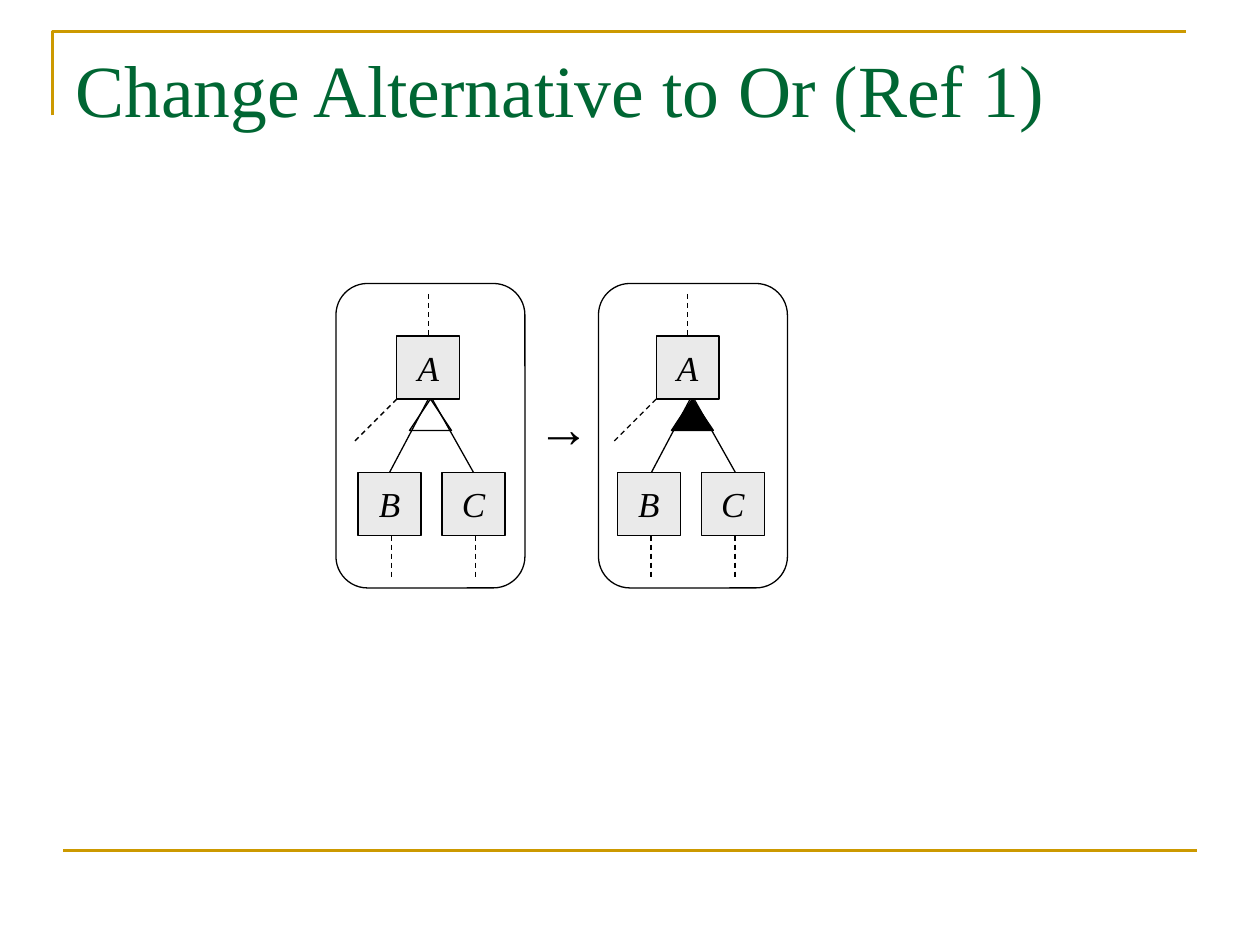
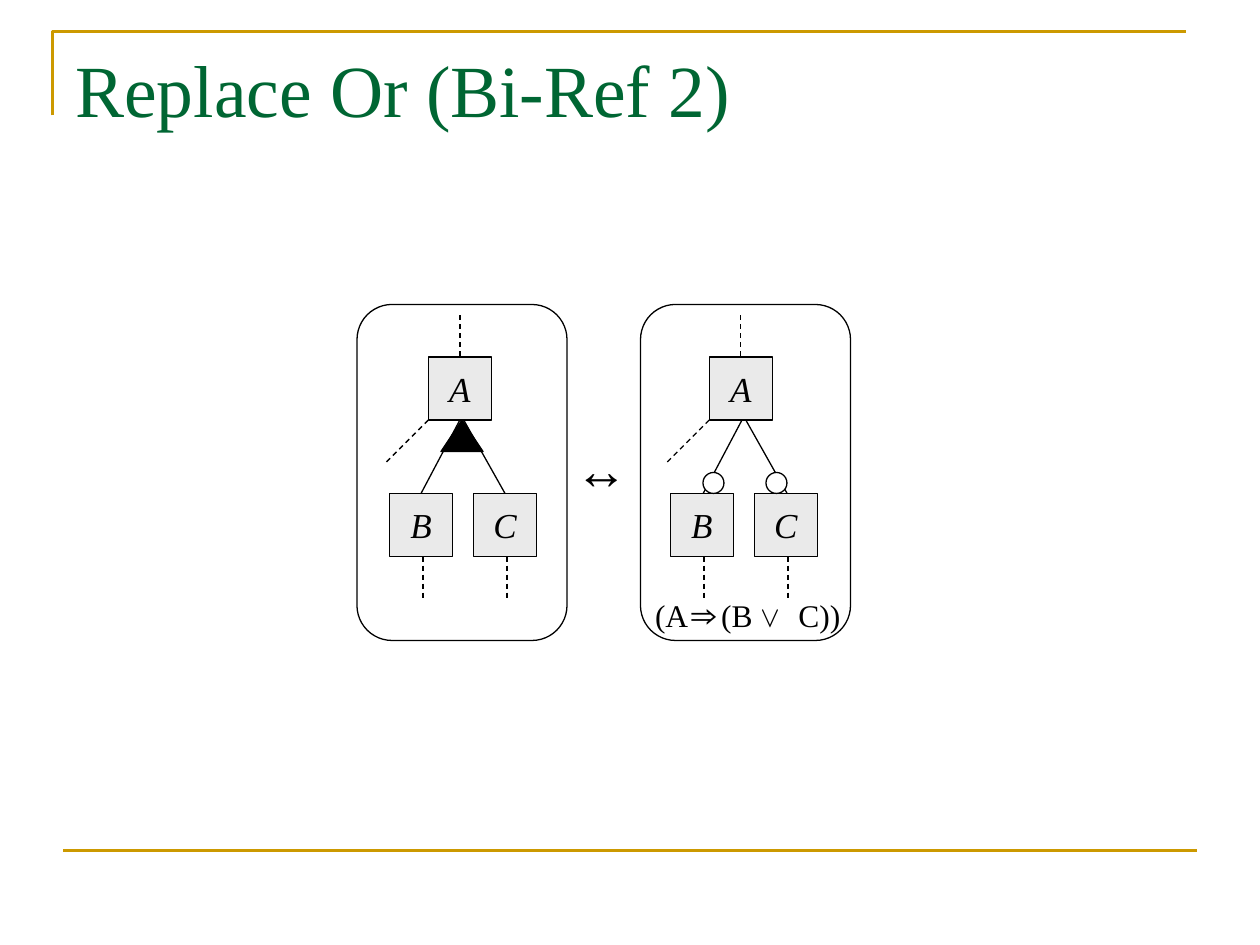
from dataclasses import dataclass
from typing import Optional

from lxml import etree
from pptx import Presentation, util as u
from pptx.dml.color import RGBColor
from pptx.enum import dml, shapes, text
from pptx.oxml import ns

COLUMNS, ROWS = 120, 90
WIDTH, HEIGHT = u.Inches(10), u.Inches(7.5)
GOLD, GREEN, BLACK, WHITE, GREY = "CC9900", "006633", "000000", "FFFFFF", "EAEAEA"
SERIF, MONO = "Times New Roman", "Courier New"
FEATURE_SIZE = 6
CHILD_DROP = 13
CHILDREN = (("B", -3.7), ("C", 4.3))
EDGES = ((3, -0.7), (3.36, 7.3))
CHILD_STEMS = (-0.5, 7.5)
OPTIONAL_MARKS = (-0.6, 5.4)


@dataclass(frozen=True)
class Frame:
    top: float
    width: float
    height: float


@dataclass(frozen=True)
class Tree:
    frame_left: float
    root_left: float
    group_fill: Optional[str] = None
    edge_shift: float = 0
    group_shift: float = 0


@dataclass(frozen=True)
class Span:
    words: str
    font: str = SERIF


@dataclass(frozen=True)
class Label:
    left: float
    top: float
    width: float
    height: float
    size: float
    spans: tuple[Span, ...]
    color: str = BLACK
    wrap: bool = False


@dataclass(frozen=True)
class Refactoring:
    title: str
    frame: Frame
    root_top: float
    trees: tuple[Tree, ...]
    labels: tuple[Label, ...]


REFACTORINGS = (
    Refactoring(
        "Change Alternative to Or (Ref 1)",
        Frame(27, 18, 29),
        32,
        (
            Tree(32, 37.8, WHITE),
            Tree(57, 62.5, BLACK, edge_shift=0.24, group_shift=0.24),
        ),
        (Label(51, 37, 5.4, 7.2, 30, (Span("→", MONO),)),),
    ),
    Refactoring(
        "Replace Or (Bi-Ref 2)",
        Frame(29, 20, 32),
        34,
        (Tree(34, 40.8, BLACK), Tree(61, 67.55, edge_shift=0.12)),
        (
            Label(54.6, 41, 5.4, 7.2, 30, (Span("↔", MONO),)),
            Label(
                61.2, 56.2, 21.2, 4.8, 18,
                (Span("(A "), Span("⇒", MONO), Span(" (B "), Span("⋁ ", MONO), Span("C))")),
            ),
        ),
    ),
)


def rgb(value: str) -> RGBColor:
    return RGBColor.from_string(value)


def x(columns: float) -> int:
    return round(WIDTH * columns / COLUMNS)


def y(rows: float) -> int:
    return round(HEIGHT * rows / ROWS)


def style_line(line, color: str, points: float) -> None:
    line.color.rgb = rgb(color)
    line.width = u.Pt(points)


def add_line(page, start, end, color: str = BLACK, points: float = 0.75, dashed: bool = False) -> None:
    connector = page.shapes.add_connector(
        shapes.MSO_CONNECTOR.STRAIGHT, x(start[0]), y(start[1]), x(end[0]), y(end[1])
    )
    style_line(connector.line, color, points)
    if dashed:
        connector.line.dash_style = dml.MSO_LINE.DASH
    etree.SubElement(connector._element.spPr, ns.qn("a:effectLst"))


def add_outlined(page, kind, left: float, top: float, width: float, height: float, fill: Optional[str] = None):
    shape = page.shapes.add_shape(kind, x(left), y(top), x(width), y(height))
    shape.shadow.inherit = False
    if fill:
        shape.fill.solid()
        shape.fill.fore_color.rgb = rgb(fill)
    else:
        shape.fill.background()
    style_line(shape.line, BLACK, 0.75)
    return shape


def add_feature(page, name: str, left: float, top: float) -> None:
    box = add_outlined(page, shapes.MSO_SHAPE.RECTANGLE, left, top, FEATURE_SIZE, FEATURE_SIZE, GREY)
    box.text_frame.word_wrap = False
    box.text_frame.vertical_anchor = text.MSO_ANCHOR.MIDDLE
    para = box.text_frame.paragraphs[0]
    para.text = name
    para.alignment = text.PP_ALIGN.CENTER
    para.font.name = SERIF
    para.font.size = u.Pt(20)
    para.font.italic = True
    para.font.color.rgb = rgb(BLACK)


def add_label(page, label: Label) -> None:
    box = page.shapes.add_textbox(x(label.left), y(label.top), x(label.width), y(label.height))
    box.text_frame.word_wrap = label.wrap
    if not label.wrap:
        box.text_frame.auto_size = text.MSO_AUTO_SIZE.SHAPE_TO_FIT_TEXT
    para = box.text_frame.paragraphs[0]
    para.font.size = u.Pt(label.size)
    para.font.color.rgb = rgb(label.color)
    for span in label.spans:
        run = para.add_run()
        run.text = span.words
        run.font.name = span.font
        run.font.size = u.Pt(label.size)
        run.font.color.rgb = rgb(label.color)


def add_page_style(page, title: str) -> None:
    builder = page.shapes.build_freeform(x(5), y(11))
    builder.add_line_segments([(x(5), y(3)), (x(113), y(3))], close=False)
    corner = builder.convert_to_shape()
    corner.shadow.inherit = False
    corner.fill.background()
    style_line(corner.line, GOLD, 1.5)
    add_line(page, (6, 81), (114, 81), GOLD, 1.5)
    add_label(page, Label(6, 3.6, 108, 15, 42, (Span(title),), GREEN, wrap=True))


def add_tree(page, tree: Tree, frame: Frame, top: float) -> None:
    left = tree.root_left
    root_bottom = top + FEATURE_SIZE
    child_top = top + CHILD_DROP
    child_bottom = child_top + FEATURE_SIZE
    add_outlined(
        page, shapes.MSO_SHAPE.ROUNDED_RECTANGLE, tree.frame_left, frame.top, frame.width, frame.height
    )
    if tree.group_fill:
        add_outlined(
            page, shapes.MSO_SHAPE.ISOSCELES_TRIANGLE,
            left + 1.2 + tree.group_shift, root_bottom, 4, 3, tree.group_fill,
        )
    add_feature(page, "A", left, top)
    for name, offset in CHILDREN:
        add_feature(page, name, left + offset, child_top)
    center = left + FEATURE_SIZE / 2
    add_line(page, (center, top - 4), (center, top), dashed=True)
    add_line(page, (left, root_bottom), (left - 4, root_bottom + 4), dashed=True)
    for offset in CHILD_STEMS:
        add_line(page, (left + offset, child_bottom), (left + offset, child_bottom + 4), dashed=True)
    edge_left = left + tree.edge_shift
    for start, end in EDGES:
        add_line(page, (edge_left + start, root_bottom), (edge_left + end, child_top))
    if not tree.group_fill:
        for offset in OPTIONAL_MARKS:
            add_outlined(page, shapes.MSO_SHAPE.OVAL, left + offset, child_top - 2, 2, 2, WHITE)


def main() -> None:
    deck = Presentation()
    deck.slide_width, deck.slide_height = WIDTH, HEIGHT
    for refactoring in REFACTORINGS:
        page = deck.slides.add_slide(deck.slide_layouts[6])
        add_page_style(page, refactoring.title)
        for tree in refactoring.trees:
            add_tree(page, tree, refactoring.frame, refactoring.root_top)
        for label in refactoring.labels:
            add_label(page, label)
    deck.save("out.pptx")


if __name__ == "__main__":
    main()
